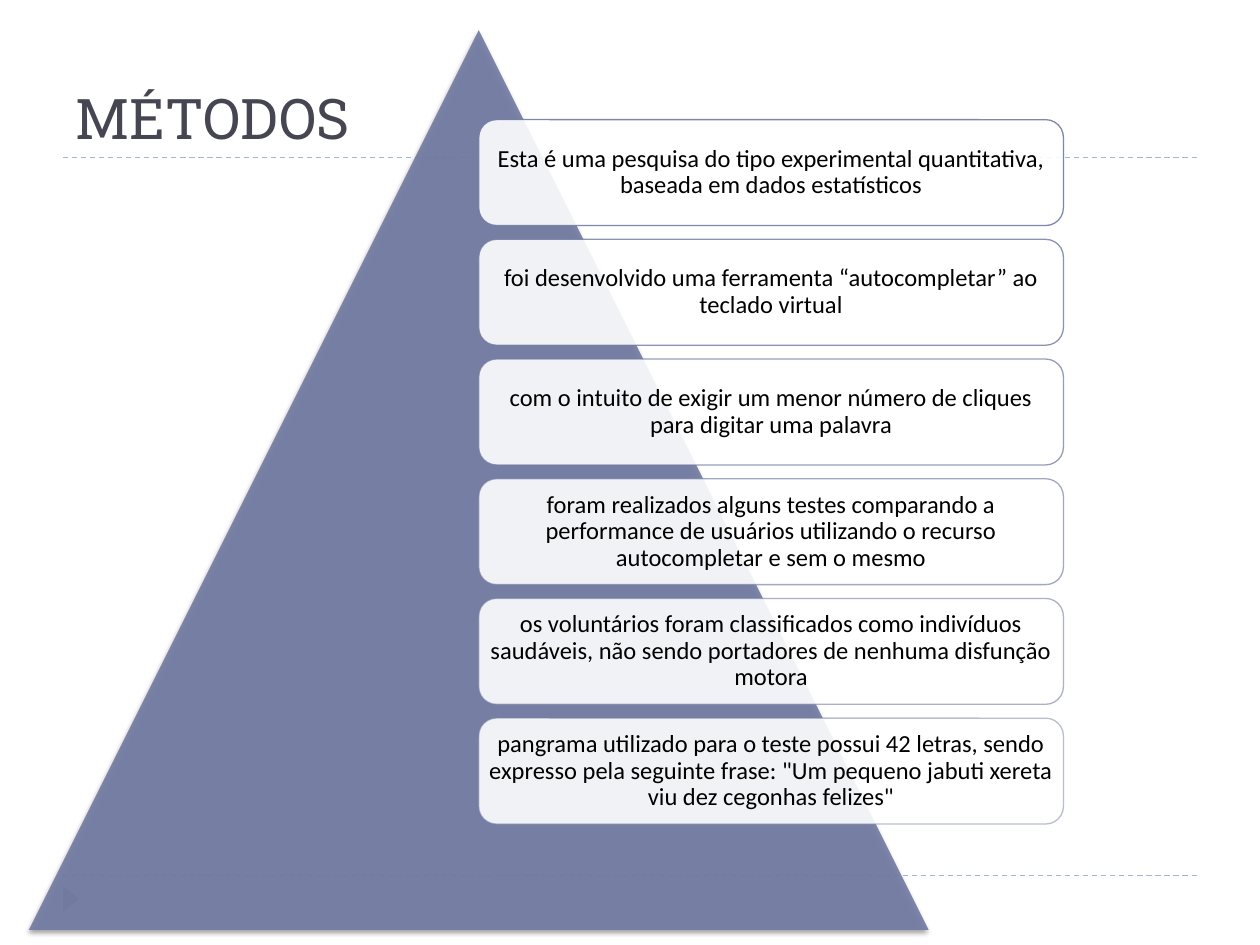
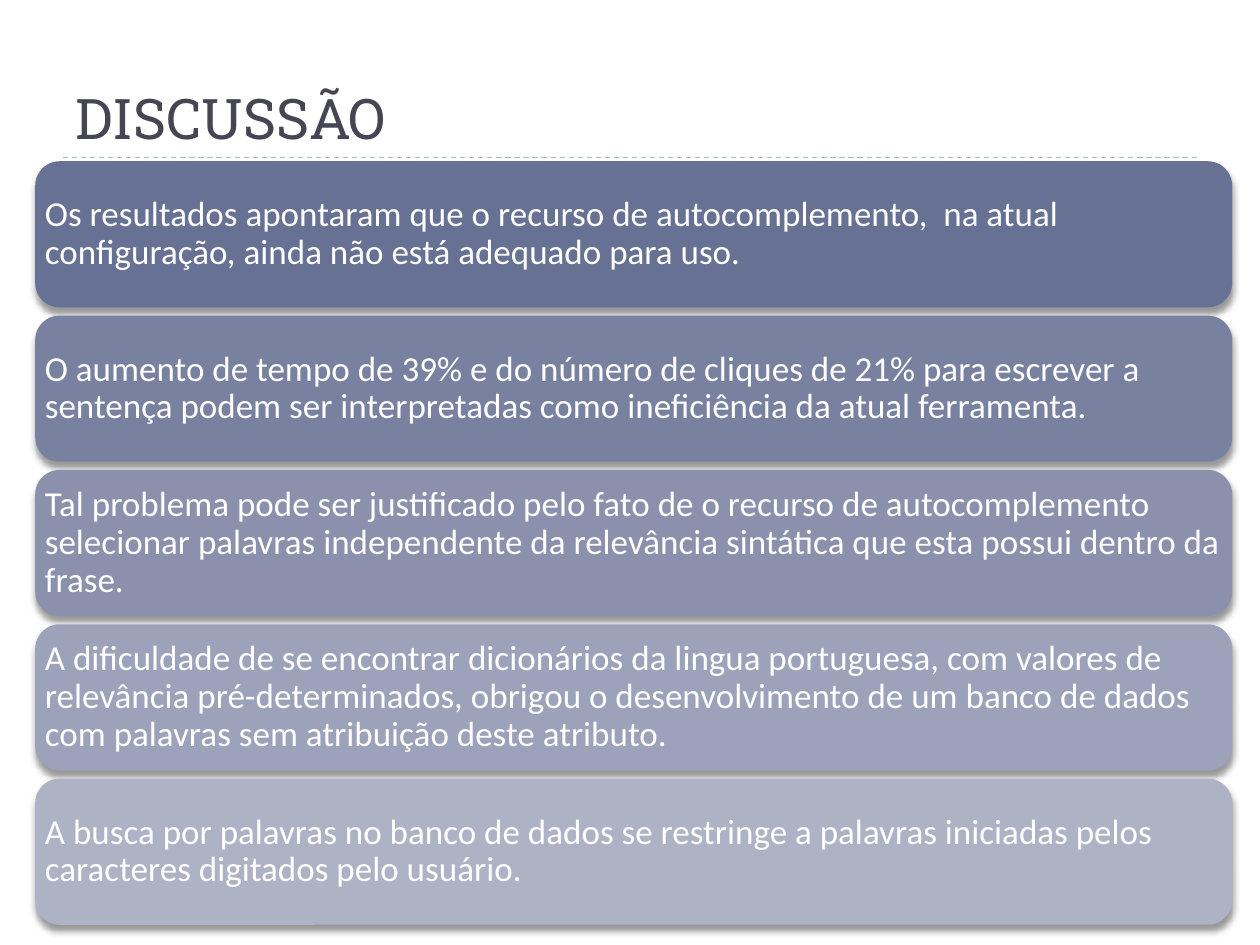
from dataclasses import dataclass

from lxml import etree
from pptx import Presentation
from pptx.dml.color import RGBColor
from pptx.enum.dml import MSO_LINE
from pptx.enum.shapes import MSO_CONNECTOR, MSO_SHAPE
from pptx.enum.text import MSO_ANCHOR, MSO_AUTO_SIZE, PP_ALIGN
from pptx.oxml.ns import qn
from pptx.util import Inches, Pt

STRAIGHT = MSO_CONNECTOR.STRAIGHT
DASH = MSO_LINE.DASH
TRIANGLE = MSO_SHAPE.ISOSCELES_TRIANGLE
ROUNDED = MSO_SHAPE.ROUNDED_RECTANGLE
LEFT, CENTER = PP_ALIGN.LEFT, PP_ALIGN.CENTER
MIDDLE, BOTTOM = MSO_ANCHOR.MIDDLE, MSO_ANCHOR.BOTTOM
NO_AUTOFIT = MSO_AUTO_SIZE.NONE

COLUMNS, ROWS = 100, 75
CELL = Inches(0.1)
TITLE_ONLY = 5
TITLE_FONT, BODY_FONT = "Roboto Slab", "Calibri"

COLORS = {
    "title": "464653",
    "rule": "9FB8CD",
    "accent": "727CA3",
    "white": "FFFFFF",
    "black": "000000",
    "band1": "677194",
    "band2": "7981A1",
    "band3": "8B91AD",
    "band4": "9CA2B9",
    "band5": "AEB2C5",
}

METHODS = [
    "Esta é uma pesquisa do tipo experimental quantitativa, baseada em dados estatísticos",
    "foi desenvolvido uma ferramenta “autocompletar” ao teclado virtual",
    "com o intuito de exigir um menor número de cliques para digitar uma palavra",
    "foram realizados alguns testes comparando a performance de usuários utilizando "
    "o recurso autocompletar e sem o mesmo",
    "os voluntários foram classificados como indivíduos saudáveis, não sendo portadores "
    "de nenhuma disfunção motora",
    "pangrama utilizado para o teste possui 42 letras, sendo expresso pela seguinte "
    'frase: "Um pequeno jabuti xereta viu dez cegonhas felizes"',
]

FINDINGS = [
    "Os resultados apontaram que o recurso de autocomplemento,  na atual configuração, "
    "ainda não está adequado para uso.",
    "O aumento de tempo de 39% e do número de cliques de 21% para escrever a sentença "
    "podem ser interpretadas como ineficiência da atual ferramenta.",
    "Tal problema pode ser justificado pelo fato de o recurso de autocomplemento "
    "selecionar palavras independente da relevância sintática que esta possui dentro da frase.",
    "A dificuldade de se encontrar dicionários da lingua portuguesa, com valores de "
    "relevância pré-determinados, obrigou o desenvolvimento de um banco de dados com "
    "palavras sem atribuição deste atributo.",
    "A busca por palavras no banco de dados se restringe a palavras iniciadas pelos "
    "caracteres digitados pelo usuário.",
]


@dataclass
class Box:
    left: float
    top: float
    width: float
    height: float

    def emu(self):
        return [round(v * CELL) for v in (self.left, self.top, self.width, self.height)]

    def stack(self, count, gap):
        height = (self.height - gap * (count - 1)) / count
        return [Box(self.left, self.top + i * (height + gap), self.width, height)
                for i in range(count)]


TITLE_BOX = Box(5, 1.7, 90, 10.8)
FOOTER_BOX = Box(5, 69.5, 90, 3.5)
PYRAMID_BOX = Box(2.3, 2.4, 71.4, 71.4)
STEPS_BOX = Box(38, 9.5, 46.4, 55.9)
BANDS_BOX = Box(2.8, 12.8, 95, 60.6)


def color(name):
    return RGBColor.from_string(COLORS[name])


def set_alpha(shape, route, percent):
    steps = "/".join(qn(step) for step in route.split("/"))
    target = shape._element.spPr.find(steps)
    etree.SubElement(target, qn("a:alpha"), val=str(percent * 1000))


def add_figure(slide, preset, box, fill, alpha=100):
    figure = slide.shapes.add_shape(preset, *box.emu())
    figure.shadow.inherit = False
    figure.fill.solid()
    figure.fill.fore_color.rgb = color(fill)
    figure.line.fill.background()
    if alpha < 100:
        set_alpha(figure, "a:solidFill/a:srgbClr", alpha)
    return figure


def cast_shadow(figure, blur, distance):
    effects = figure._element.spPr.find(qn("a:effectLst"))
    shadow = etree.SubElement(
        effects, qn("a:outerShdw"), blurRad=str(Pt(blur)), dist=str(Pt(distance)),
        dir="5400000", algn="ctr", rotWithShape="0")
    tint = etree.SubElement(shadow, qn("a:srgbClr"), val=COLORS["black"])
    etree.SubElement(tint, qn("a:alpha"), val="40000")


def write(shape, text, font, size, ink, align, anchor):
    frame = shape.text_frame
    frame.word_wrap = True
    frame.auto_size = NO_AUTOFIT
    frame.vertical_anchor = anchor
    paragraph = frame.paragraphs[0]
    paragraph.alignment = align
    run = paragraph.add_run()
    run.text = text
    run.font.name = font
    run.font.size = Pt(size)
    run.font.color.rgb = color(ink)
    return frame


def write_card(card, text, size, ink, align):
    frame = write(card, text, BODY_FONT, size, ink, align, MIDDLE)
    frame.margin_left = frame.margin_right = Inches(0.02)
    frame.margin_top = frame.margin_bottom = Inches(0.02)
    frame.paragraphs[0].line_spacing = 0.9


def add_rule(slide, box, row):
    left, right, y = (round(v * CELL) for v in (box.left, box.left + box.width, row))
    rule = slide.shapes.add_connector(STRAIGHT, left, y, right, y)
    rule.line.color.rgb = color("rule")
    rule.line.width = Pt(0.75)
    rule.line.dash_style = DASH
    etree.SubElement(rule._element.spPr, qn("a:effectLst"))


def add_titled_slide(deck, heading, box):
    slide = deck.slides.add_slide(deck.slide_layouts[TITLE_ONLY])
    title = slide.shapes.title
    title.left, title.top, title.width, title.height = box.emu()
    write(title, heading, TITLE_FONT, 32, "title", LEFT, BOTTOM)
    add_rule(slide, box, box.top + box.height)
    return slide


def add_footer(slide, box):
    add_rule(slide, box, box.top)
    marker = Box(box.left - 0.4, box.top + 1.2, 2.1, 1.3)
    add_figure(slide, TRIANGLE, marker, "rule").rotation = 90


def add_pyramid(slide, box):
    pyramid = add_figure(slide, TRIANGLE, box, "accent", 90)
    cast_shadow(pyramid, 3, 2)


def add_steps(slide, box, texts):
    for i, (place, text) in enumerate(zip(box.stack(len(texts), 1.1), texts)):
        step = add_figure(slide, ROUNDED, place, "white", 90)
        step.line.color.rgb = color("accent")
        step.line.width = Pt(0.75)
        set_alpha(step, "a:ln/a:solidFill/a:srgbClr", 90 - 8 * i)
        write_card(step, text, 14, "black", CENTER)


def add_bands(slide, box, texts):
    for i, (place, text) in enumerate(zip(box.stack(len(texts), 0.65), texts), 1):
        band = add_figure(slide, ROUNDED, place, f"band{i}")
        cast_shadow(band, 4, 3.4)
        write_card(band, text, 20, "white", LEFT)


def main():
    deck = Presentation()
    deck.slide_width, deck.slide_height = COLUMNS * CELL, ROWS * CELL

    methods = add_titled_slide(deck, "MÉTODOS", TITLE_BOX)
    add_footer(methods, FOOTER_BOX)
    add_pyramid(methods, PYRAMID_BOX)
    add_steps(methods, STEPS_BOX, METHODS)

    discussion = add_titled_slide(deck, "DISCUSSÃO", TITLE_BOX)
    add_bands(discussion, BANDS_BOX, FINDINGS)

    deck.save("out.pptx")


if __name__ == "__main__":
    main()
